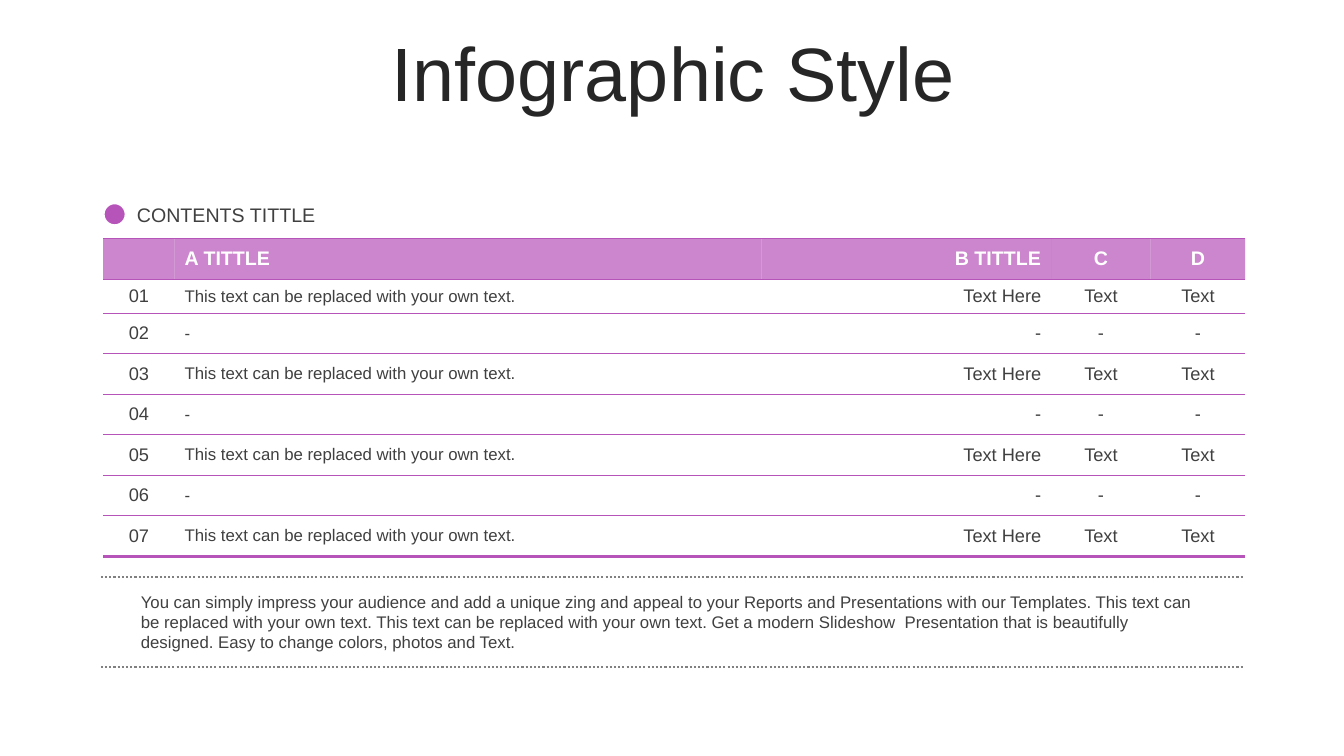
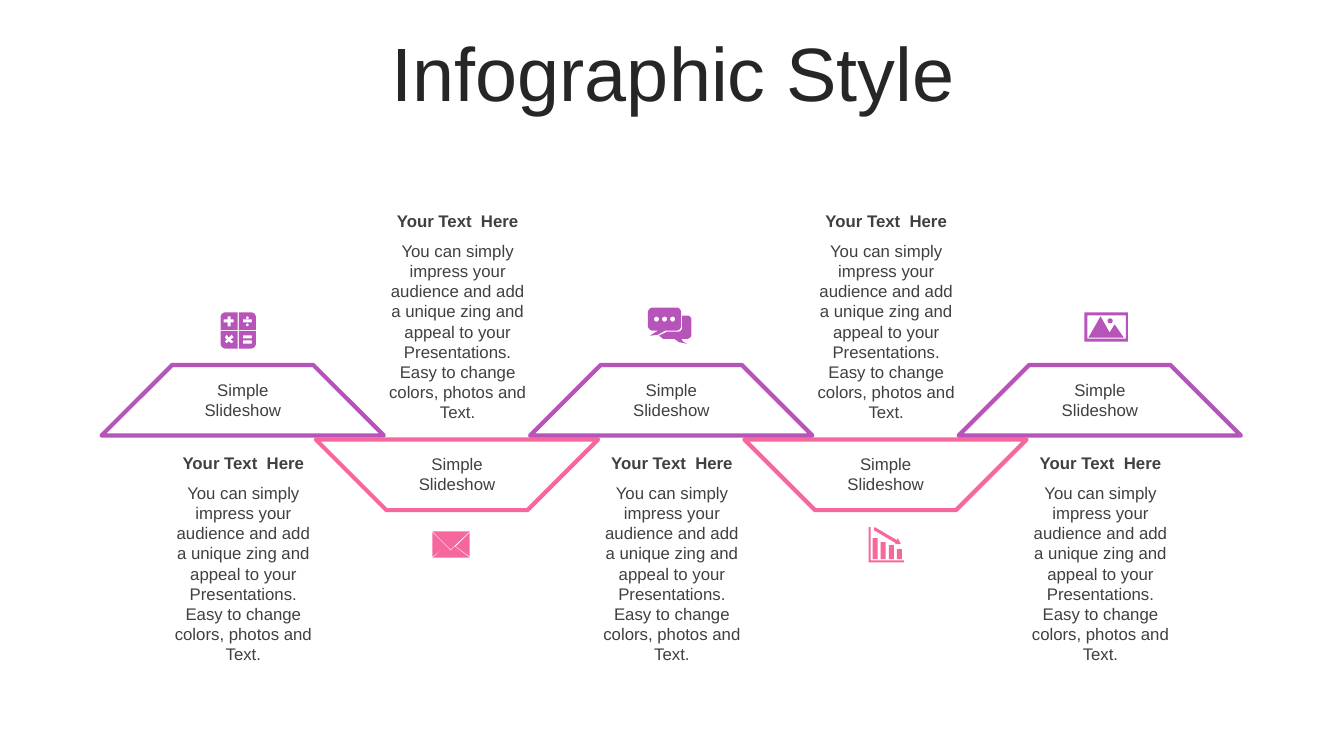
from dataclasses import dataclass
from math import cos, radians, sin

from lxml import etree
from pptx import Presentation
from pptx.dml.color import RGBColor
from pptx.enum.dml import MSO_LINE
from pptx.enum.shapes import MSO_CONNECTOR, MSO_SHAPE
from pptx.enum.text import MSO_ANCHOR, PP_ALIGN
from pptx.oxml.ns import qn
from pptx.util import Cm, Pt

LEFT, CENTER, RIGHT = PP_ALIGN.LEFT, PP_ALIGN.CENTER, PP_ALIGN.RIGHT
TOP, MIDDLE = MSO_ANCHOR.TOP, MSO_ANCHOR.MIDDLE
ELLIPSE, STRIPE = MSO_SHAPE.OVAL, MSO_SHAPE.DIAGONAL_STRIPE
STRAIGHT, DOTTED = MSO_CONNECTOR.STRAIGHT, MSO_LINE.ROUND_DOT


@dataclass(frozen=True)
class Theme:
    purple: RGBColor = RGBColor.from_string("B754BA")
    pink: RGBColor = RGBColor.from_string("F5679D")
    white: RGBColor = RGBColor.from_string("FFFFFF")
    title: RGBColor = RGBColor.from_string("262626")
    text: RGBColor = RGBColor.from_string("404040")
    rule: RGBColor = RGBColor.from_string("808080")
    font: str = "Arial"
    title_size: Pt = Pt(54)
    heading_size: Pt = Pt(14)
    cell_size: Pt = Pt(13)
    body_size: Pt = Pt(12)


THEME = Theme()
TITLE = "Infographic Style"


def write(frame, text, color=THEME.text, align=LEFT, anchor=TOP, **formats):
    frame.word_wrap = True
    frame.vertical_anchor = anchor
    paragraph = frame.paragraphs[0]
    paragraph.alignment = align
    run = paragraph.add_run()
    run.text = text
    formats = {"name": THEME.font, "size": THEME.body_size, "bold": False} | formats
    for attribute, value in formats.items():
        setattr(run.font, attribute, value)
    run.font.color.rgb = color
    return paragraph


def arc(x, y, radius, start, end):
    angles = [radians(start + (end - start) * step / 12) for step in range(13)]
    return [(x + radius * cos(a), y + radius * sin(a)) for a in angles]


deck = Presentation()
deck.slide_width, deck.slide_height = Cm(33.87), Cm(19.05)
table_slide, steps_slide = [deck.slides.add_slide(deck.slide_layouts[6]) for _ in range(2)]

for slide in (table_slide, steps_slide):
    title_box = slide.shapes.add_textbox(Cm(0.89), Cm(0.94), Cm(32.16), Cm(2.01))
    title = write(title_box.text_frame, TITLE, THEME.title, CENTER, MIDDLE, size=THEME.title_size)
    title.line_spacing = 0.9

heading = table_slide.shapes.add_textbox(Cm(3.2), Cm(4.98), Cm(8), Cm(0.86))
write(heading.text_frame, "CONTENTS TITTLE", size=THEME.heading_size)
marker = table_slide.shapes.add_shape(ELLIPSE, Cm(2.62), Cm(5.13), Cm(0.54), Cm(0.54))
marker.shadow.inherit = False
marker.fill.solid()
marker.fill.fore_color.rgb = THEME.purple
marker.line.color.rgb = THEME.white
marker.line.width = Pt(1)

COLUMN_WIDTHS = [1.8, 14.79, 7.3, 2.51, 2.38]
ROW_HEIGHTS = [0.97, 0.86] + [1.02] * 6
ALIGNMENTS = [CENTER, LEFT, RIGHT, CENTER, CENTER]
FILLED = ["This text can be replaced with your own text.", "Text Here", "Text", "Text"]
EMPTY = ["-"] * 4
rows = [["", "A TITTLE", "B TITTLE", "C", "D"]]
rows += [[f"{number:02}"] + (FILLED if number % 2 else EMPTY) for number in range(1, 8)]
RULE_WIDTHS = [0.75, 1] + [0.75] * 6 + [2.25]

contents = table_slide.shapes.add_table(
    len(rows), len(COLUMN_WIDTHS), Cm(2.6), Cm(6.02), Cm(sum(COLUMN_WIDTHS)), Cm(sum(ROW_HEIGHTS))
).table
contents.horz_banding = False
contents._tbl.tblPr.find(qn("a:tableStyleId")).text = "{2D5ABB26-0587-4C30-8999-92F81FD0307C}"
for column, width in zip(contents.columns, COLUMN_WIDTHS):
    column.width = Cm(width)
for r, (row, height) in enumerate(zip(rows, ROW_HEIGHTS)):
    contents.rows[r].height = Cm(height)
    for c, text in enumerate(row):
        cell = contents.cell(r, c)
        cell.vertical_anchor = MIDDLE
        properties = cell._tc.get_or_add_tcPr()
        for edge, width in (("a:lnT", RULE_WIDTHS[r]), ("a:lnB", RULE_WIDTHS[r + 1])):
            border = etree.SubElement(properties, qn(edge), w=str(Pt(width)))
            paint = etree.SubElement(border, qn("a:solidFill"))
            etree.SubElement(paint, qn("a:srgbClr"), val=str(THEME.purple))
        if r == 0:
            cell.fill.solid()
            cell.fill.fore_color.rgb = THEME.purple
            tint = properties.find(qn("a:solidFill"))[0]
            etree.SubElement(tint, qn("a:alpha"), val="70000")
            color, size = THEME.white, THEME.heading_size
        else:
            cell.fill.background()
            color, size = THEME.text, THEME.body_size if c == 1 else THEME.cell_size
        write(cell.text_frame, text, color, ALIGNMENTS[c], MIDDLE, size=size, bold=r == 0)

for y in (14.55, 16.81):
    divider = table_slide.shapes.add_connector(STRAIGHT, Cm(2.54), Cm(y), Cm(31.34), Cm(y))
    divider.line.color.rgb = THEME.rule
    divider.line.width = Pt(1.5)
    divider.line.dash_style = DOTTED
    etree.SubElement(divider._element.spPr, qn("a:effectLst"))

summary = table_slide.shapes.add_textbox(Cm(3.3), Cm(14.78), Cm(27.3), Cm(1.8))
write(
    summary.text_frame,
    "You can simply impress your audience and add a unique zing and appeal to your Reports and "
    "Presentations with our Templates. This text can be replaced with your own text. This text can "
    "be replaced with your own text. Get a modern Slideshow  Presentation that is beautifully "
    "designed. Easy to change colors, photos and Text.",
)

STEP_PITCH = 5.4
DESCRIPTION = (
    "You can simply impress your audience and add a unique zing and appeal to your Presentations. "
    "Easy to change colors, photos and Text."
)
UPPER = {"color": THEME.purple, "rotation": 45, "stripe": 8.46, "label": 9.45, "caption": 11.28}
LOWER = {"color": THEME.pink, "rotation": 225, "stripe": 8.56, "label": 11.3, "caption": 5.18}
steps = [UPPER, LOWER, UPPER, LOWER, UPPER]

for i in (0, 1, 3, 2, 4):
    step = steps[i]
    stripe = steps_slide.shapes.add_shape(
        STRIPE, Cm(3.6 + i * STEP_PITCH), Cm(step["stripe"]), Cm(5.03), Cm(5.03)
    )
    stripe.adjustments[0] = 0.5
    stripe.rotation = step["rotation"]
    stripe.shadow.inherit = False
    stripe.fill.solid()
    stripe.fill.fore_color.rgb = THEME.white
    stripe.line.color.rgb = step["color"]
    stripe.line.width = Pt(3)

for i, step in enumerate(steps):
    offset = i * STEP_PITCH
    for text, x, y, width, height, bold in (
        ("Simple Slideshow", 4.34, step["label"], 3.56, 1.27, False),
        ("Your Text  Here", 4.04, step["caption"], 4.19, 0.76, True),
        (DESCRIPTION, 4.04, step["caption"] + 0.76, 4.19, 4.88, False),
    ):
        box = steps_slide.shapes.add_textbox(Cm(x + offset), Cm(y), Cm(width), Cm(height))
        write(box.text_frame, text, align=CENTER, bold=bold)

calculator = [
    arc(5, 5, 5, 180, 270) + [(17, 0), (17, 17.6), (0, 17.6)],
    [(18, 17.6), (18, 0)] + arc(30, 5, 5, 270, 360) + [(35, 17.6)],
    [(0, 18.4), (17, 18.4), (17, 36)] + arc(5, 31, 5, 90, 180),
    [(18, 36), (18, 18.4), (35, 18.4)] + arc(30, 31, 5, 0, 90),
    [(7, 4), (10, 4), (10, 7), (13, 7), (13, 10), (10, 10),
     (10, 14), (7, 14), (7, 10), (3, 10), (3, 7), (7, 7)],
    [(6, 22), (4, 25), (6, 27), (4, 29), (6, 31), (8, 29),
     (11, 31), (13, 29), (10, 27), (13, 25), (11, 22), (8, 25)],
]
calculator += [[(22, y), (31, y), (31, y + 3), (22, y + 3)] for y in (7, 23, 28)]
calculator += [arc(26.5, y, 1.5, 0, 360) for y in (5.5, 12.5)]

envelope = [
    [(22, 15), (37, 26), (0, 26), (14, 15), (18, 19)],
    [(37, 1), (37, 25), (23, 15)],
    [(0, 1), (14, 15), (0, 25)],
    [(0, 0), (37, 0), (18, 18)],
]

chat = [
    arc(5, 5, 5, 180, 270) + arc(28, 5, 5, 270, 360) + arc(28, 18, 5, 0, 90)
    + [(17, 23), (10, 27), (2, 28), (10, 23)] + arc(5, 18, 5, 90, 180),
    [(34, 8)] + arc(39, 12, 4, 270, 360) + arc(39, 27, 4, 0, 90)
    + [(33, 31), (35, 34), (39, 36), (31, 34.5), (26, 31), (15, 31), (11, 28), (19, 24)]
    + arc(30, 20, 4, 90, 0),
]
chat += [arc(x, 11.5, 2.5, 0, 360) for x in (8.5, 16.5, 24.5)]

falling_bars = [
    [(6, 0), (28, 13), (29, 11), (32, 17), (26, 17), (27, 16), (5, 3)],
    [(0, 0), (2, 0), (2, 33), (35, 33), (35, 35), (0, 35)],
]
falling_bars += [
    [(x, y), (x + 5, y), (x + 5, 32), (x, 32)] for x, y in zip(range(4, 29, 8), (11, 15, 18, 22))
]

landscape = [
    [(0, 0), (43, 0), (43, 29), (0, 29)],
    [(3, 3), (41, 3), (41, 26), (3, 26)],
    [(16, 4), (25, 20), (30, 12), (39, 25), (4, 25)],
    arc(25.5, 8.5, 2.5, 0, 360),
]

GRID = 10
ICON_UNIT = Cm(2.54) / 100 / GRID
icons = [
    (calculator, 5.56, 7.87),
    (envelope, 10.9, 13.39),
    (chat, 16.33, 7.75),
    (falling_bars, 21.89, 13.28),
    (landscape, 27.33, 7.87),
]
for (outlines, x, y), step in zip(icons, steps):
    outlines = [[(px * GRID, py * GRID) for px, py in outline] for outline in outlines]
    builder = steps_slide.shapes.build_freeform(*outlines[0][0], scale=ICON_UNIT)
    for outline in outlines:
        if outline is not outlines[0]:
            builder.move_to(*outline[0])
        builder.add_line_segments(outline[1:], close=True)
    icon = builder.convert_to_shape(Cm(x), Cm(y))
    icon.shadow.inherit = False
    icon.fill.solid()
    icon.fill.fore_color.rgb = step["color"]
    icon.line.fill.background()

deck.save("out.pptx")
